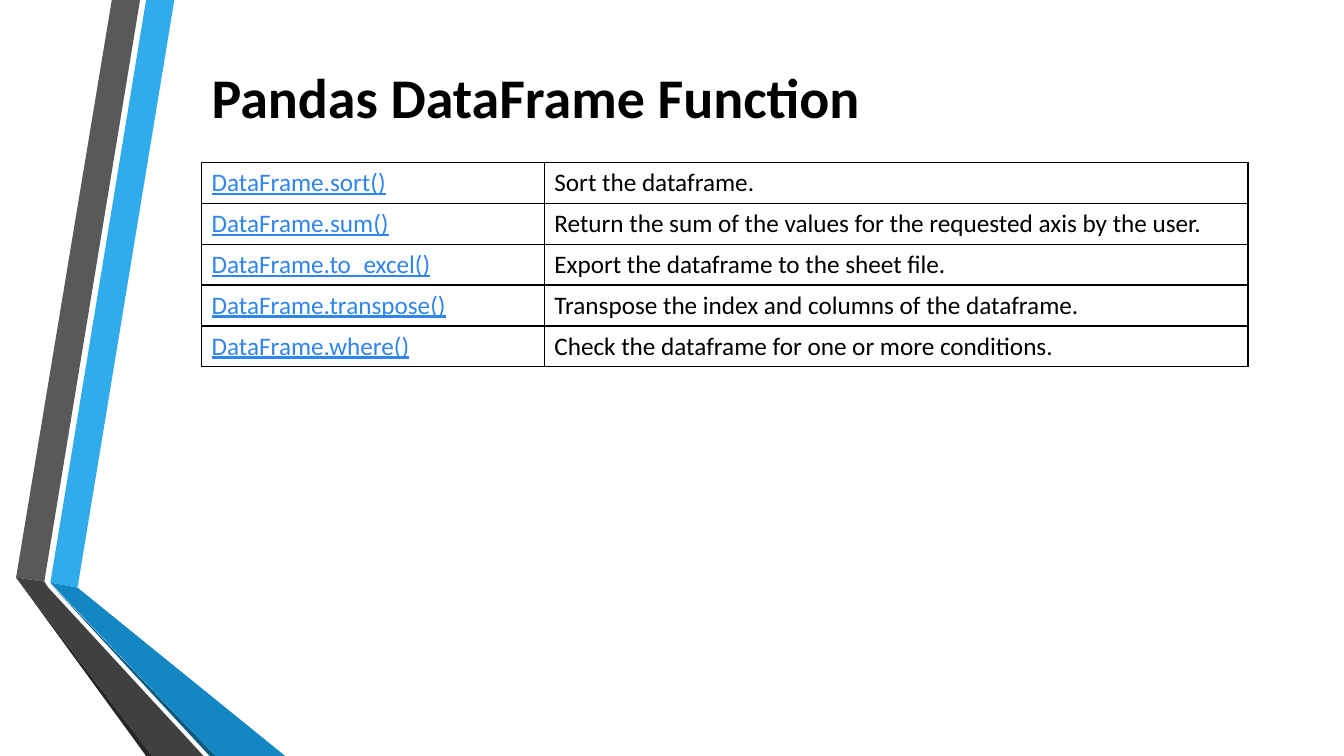
"""Build the slide that lists Pandas DataFrame functions."""
from dataclasses import dataclass

from lxml import etree
from pptx import Presentation
from pptx.dml.color import RGBColor
from pptx.enum.text import MSO_ANCHOR, MSO_AUTO_SIZE, PP_ALIGN
from pptx.oxml.ns import qn
from pptx.slide import Slide
from pptx.table import _Cell
from pptx.text.text import TextFrame
from pptx.util import Emu, Inches, Pt

MIDDLE = MSO_ANCHOR.MIDDLE
LEFT = PP_ALIGN.LEFT
NO_AUTOFIT = MSO_AUTO_SIZE.NONE
TITLE_ONLY = 5

GRID_STEP = Inches(0.1)
SLIDE_COLUMNS, SLIDE_ROWS = 133.33, 75
FONT = "Calibri"
BORDER_WIDTH = Pt(1)

COLORS = {
    "text": "000000",
    "function": "3085ED",
    "border": "000000",
    "blue": "30ACEC",
    "blue_fold": "1287C3",
    "blue_edge": "0C5A82",
    "gray": "595959",
    "gray_fold": "404040",
    "gray_edge": "262626",
}


@dataclass(frozen=True)
class Ribbon:
    color: str
    corners: tuple[tuple[float, float], ...]


@dataclass(frozen=True)
class Function:
    call: str
    purpose: str


RIBBONS = (
    Ribbon("blue", ((5, 57.8), (7.7, 58.3), (17.3, 0), (14.5, 0))),
    Ribbon("gray", ((13.9, 0), (11.1, 0), (1.6, 57.3), (4.4, 57.7))),
    Ribbon("gray_edge", ((1.6, 57.3), (14.5, 75), (15.1, 75))),
    Ribbon("blue_edge", ((5, 57.9), (20.8, 75), (21.4, 75))),
    Ribbon("blue_fold", ((5, 57.8), (21.4, 75), (28.3, 75), (7.7, 58.3))),
    Ribbon("gray_fold", ((1.6, 57.3), (15.1, 75), (20.2, 75), (4.8, 58.3), (4.4, 57.7))),
)

FUNCTIONS = (
    Function("DataFrame.sort()", "Sort the dataframe."),
    Function("DataFrame.sum()", "Return the sum of the values for the requested axis by the user."),
    Function("DataFrame.to_excel()", "Export the dataframe to the sheet file."),
    Function("DataFrame.transpose()", "Transpose the index and columns of the dataframe."),
    Function("DataFrame.where()", "Check the dataframe for one or more conditions."),
)


def grid(steps: float) -> Emu:
    return Emu(round(steps * GRID_STEP))


def write(frame: TextFrame, words: str, size: int, color: str,
          bold: bool = False, underline: bool = False) -> None:
    frame.text = words
    paragraph = frame.paragraphs[0]
    paragraph.alignment = LEFT
    font = paragraph.runs[0].font
    font.name = FONT
    font.size = Pt(size)
    font.bold = bold
    font.underline = underline
    font.color.rgb = RGBColor.from_string(COLORS[color])


def draw_ribbon(slide: Slide, ribbon: Ribbon) -> None:
    start, *others = [(grid(x), grid(y)) for x, y in ribbon.corners]
    outline = slide.shapes.build_freeform(*start)
    outline.add_line_segments(others, close=True)
    band = outline.convert_to_shape()
    band.shadow.inherit = False
    band.fill.solid()
    band.fill.fore_color.rgb = RGBColor.from_string(COLORS[ribbon.color])
    band.line.fill.background()


def add_title(slide: Slide) -> None:
    heading = slide.shapes.title
    heading.left, heading.top = grid(20), grid(5.3)
    heading.width, heading.height = grid(105.8), grid(8.4)
    heading.text_frame.vertical_anchor = MIDDLE
    heading.text_frame.auto_size = NO_AUTOFIT
    write(heading.text_frame, "Pandas DataFrame Function", 40, "text", bold=True)


def frame_cell(cell: _Cell) -> None:
    properties = cell._tc.get_or_add_tcPr()
    for side in ("a:lnL", "a:lnR", "a:lnT", "a:lnB"):
        border = etree.SubElement(properties, qn(side), w=str(BORDER_WIDTH))
        paint = etree.SubElement(border, qn("a:solidFill"))
        etree.SubElement(paint, qn("a:srgbClr"), val=COLORS["border"])
    cell.fill.background()
    cell.vertical_anchor = MIDDLE


def add_functions(slide: Slide) -> None:
    call_width, purpose_width, row_height = 34, 69.8, 4.06
    reference = slide.shapes.add_table(
        len(FUNCTIONS), 2, grid(20), grid(16.1),
        grid(call_width + purpose_width), grid(row_height * len(FUNCTIONS))).table
    reference.first_row = reference.horz_banding = False
    reference.columns[0].width = grid(call_width)
    reference.columns[1].width = grid(purpose_width)
    for row, function in zip(reference.rows, FUNCTIONS):
        row.height = grid(row_height)
        call, purpose = row.cells
        write(call.text_frame, function.call, 18, "function", underline=True)
        write(purpose.text_frame, function.purpose, 18, "text")
        for cell in (call, purpose):
            frame_cell(cell)


def main() -> None:
    deck = Presentation()
    deck.slide_width, deck.slide_height = grid(SLIDE_COLUMNS), grid(SLIDE_ROWS)
    slide = deck.slides.add_slide(deck.slide_layouts[TITLE_ONLY])
    for ribbon in RIBBONS:
        draw_ribbon(slide, ribbon)
    add_title(slide)
    add_functions(slide)
    deck.save("out.pptx")


if __name__ == "__main__":
    main()
